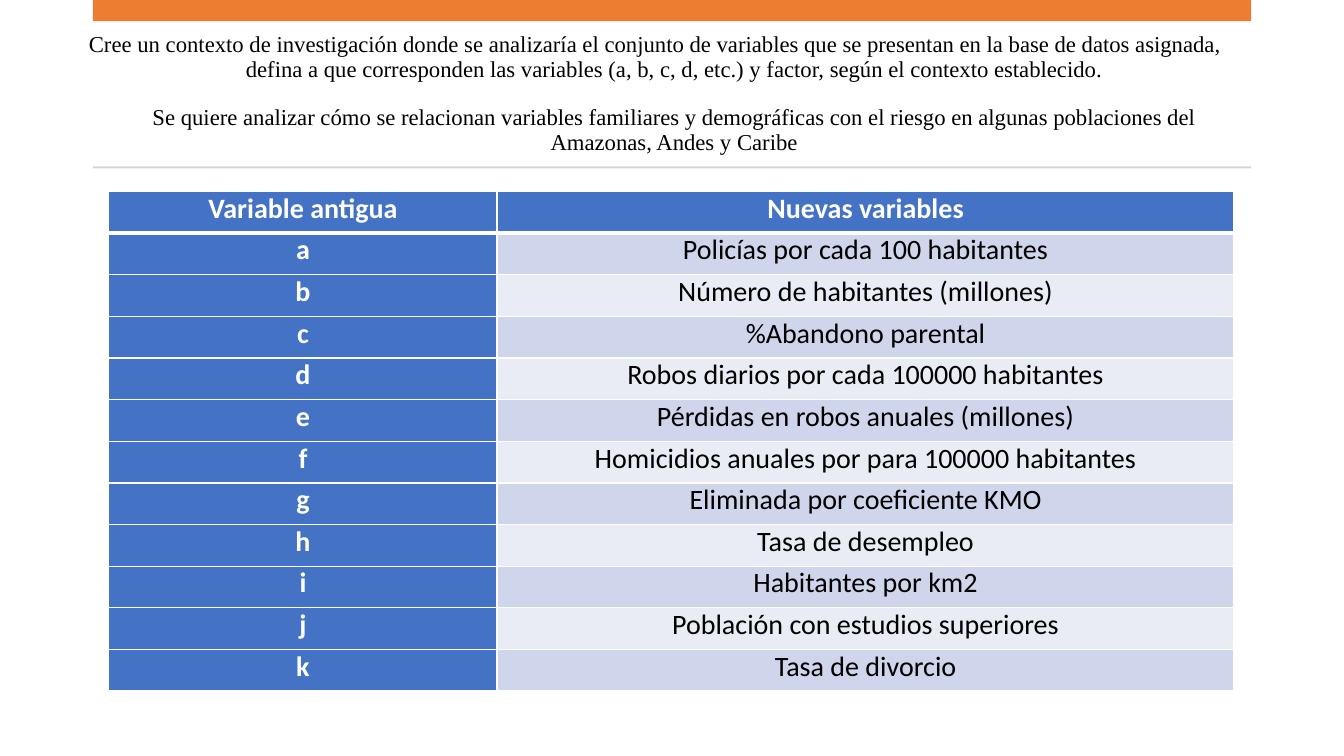
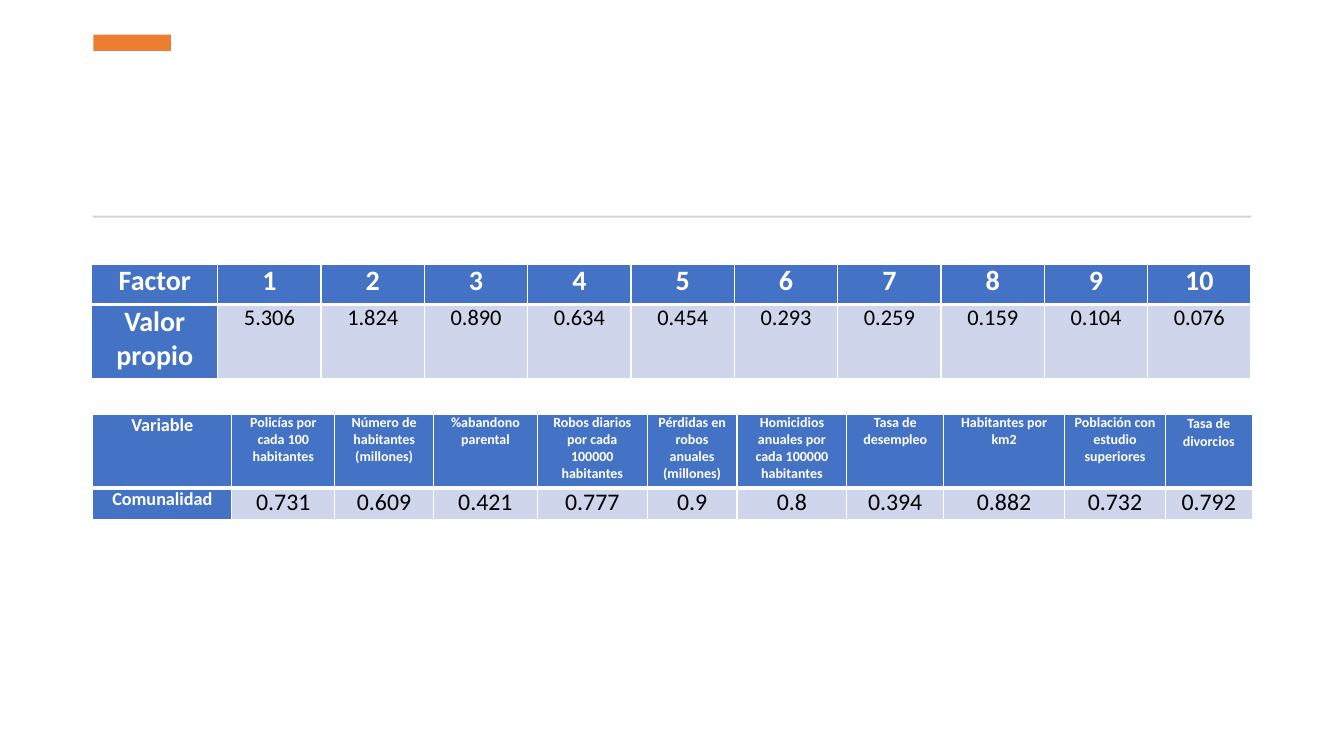
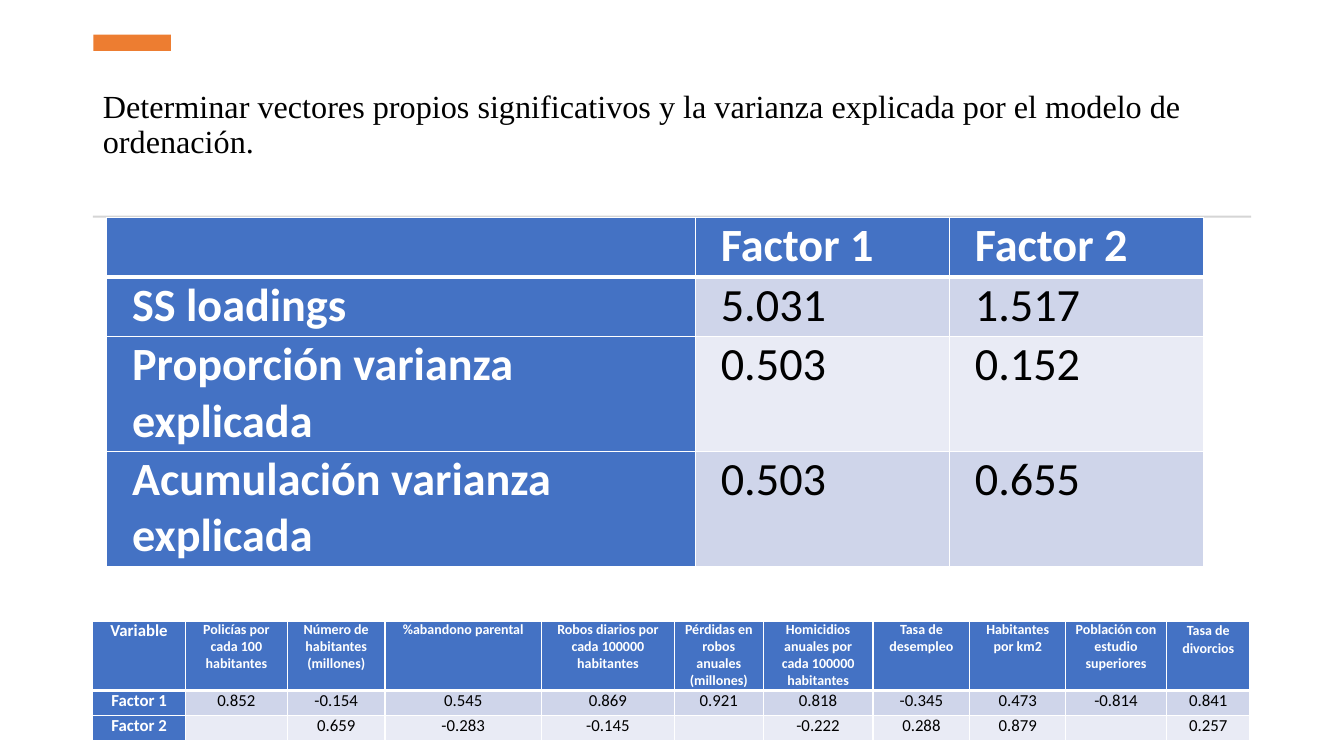
from dataclasses import dataclass

from lxml.etree import SubElement
from pptx import Presentation
from pptx.dml.color import RGBColor
from pptx.enum.shapes import MSO_SHAPE
from pptx.enum.text import MSO_ANCHOR, MSO_AUTO_SIZE, PP_ALIGN
from pptx.oxml.ns import qn
from pptx.slide import Slide
from pptx.table import _Cell
from pptx.util import Inches, Pt

ORANGE = "ED7D31"
GREY = "D5D5D5"
BLUE = "4472C4"
BANDS = ("CFD5EA", "E9EBF5")
WHITE = "FFFFFF"
BLACK = "000000"
TABLE_FONT = "Calibri"
TITLE_FONT = "Times New Roman"
TITLE_ONLY, BLANK = 5, 6
MARGIN = 0.92
CONTENT_WIDTH = 11.49


@dataclass(frozen=True)
class Title:
    paragraphs: list[str]
    left: float
    top: float
    height: float
    size: float
    anchor: MSO_ANCHOR
    bottom_inset: float
    align: PP_ALIGN = PP_ALIGN.LEFT
    hanging: float = 0
    gap: float = 0


@dataclass(frozen=True)
class Grid:
    left: float
    top: float
    columns: list[float]
    heights: list[float]
    rows: list[list[str]]
    inset: float
    label_size: float
    heading_size: float
    value_size: float
    label_align: PP_ALIGN = PP_ALIGN.CENTER
    value_align: PP_ALIGN = PP_ALIGN.CENTER
    loose_heading: str = ""


def colour(value: str) -> RGBColor:
    return RGBColor.from_string(value)


def add_bar(slide: Slide, left: float, top: float, width: float, height: float,
            fill: str, rotation: float = 0) -> None:
    bar = slide.shapes.add_shape(MSO_SHAPE.RECTANGLE, Inches(left), Inches(top),
                                 Inches(width), Inches(height))
    bar.shadow.inherit = False
    bar.fill.solid()
    bar.fill.fore_color.rgb = colour(fill)
    bar.line.fill.background()
    bar.rotation = rotation


def add_rule(slide: Slide, top: float) -> None:
    add_bar(slide, MARGIN, top, CONTENT_WIDTH, 0.02, GREY)


def add_accent_and_rule(slide: Slide) -> None:
    add_bar(slide, 1.23, 0.04, 0.16, 0.77, ORANGE, 90)
    add_rule(slide, 2.14)


def fill_title(slide: Slide, title: Title) -> None:
    box = slide.shapes.title
    box.left, box.top = Inches(title.left), Inches(title.top)
    box.width, box.height = Inches(CONTENT_WIDTH), Inches(title.height)
    frame = box.text_frame
    frame.text = "\n".join(title.paragraphs)
    frame.word_wrap = True
    frame.auto_size = MSO_AUTO_SIZE.NONE
    frame.vertical_anchor = title.anchor
    frame.margin_bottom = Inches(title.bottom_inset)
    for index, para in enumerate(frame.paragraphs):
        para.alignment = title.align
        para.line_spacing = 0.9
        para.space_before = Pt(title.gap if index else 0)
        properties = para._p.get_or_add_pPr()
        properties.set("marL", str(Inches(title.hanging)))
        properties.set("indent", str(0 if index else -Inches(title.hanging)))
        for span in para.runs:
            span.font.name = TITLE_FONT
            span.font.size = Pt(title.size)
            span.font.color.rgb = colour(BLACK)


def set_borders(cell: _Cell, top: float, bottom: float) -> None:
    properties = cell._tc.get_or_add_tcPr()
    for side, width in (("L", 1), ("R", 1), ("T", top), ("B", bottom)):
        line = SubElement(properties, qn(f"a:ln{side}"), w=str(Pt(width)))
        fill = SubElement(line, qn("a:solidFill"))
        SubElement(fill, qn("a:srgbClr"), val=WHITE)


def fill_cell(cell: _Cell, grid: Grid, row: int, column: int) -> None:
    text = grid.rows[row][column]
    heading = row == 0 or column == 0
    size = (grid.label_size if column == 0 else
            grid.heading_size if row == 0 else grid.value_size)
    set_borders(cell, 3 if row == 1 else 1, 3 if row == 0 else 1)
    cell.fill.solid()
    cell.fill.fore_color.rgb = colour(BLUE if heading else BANDS[(row - 1) % 2])
    cell.margin_left = cell.margin_right = Inches(grid.inset)
    cell.margin_top = cell.margin_bottom = 0
    para = cell.text_frame.paragraphs[0]
    para.text = text
    para.alignment = grid.label_align if column == 0 else grid.value_align
    if text and text == grid.loose_heading:
        para.line_spacing = 1.07
        para.space_after = Pt(8)
    else:
        para.space_before = para.space_after = Pt(6)
    if not text:
        SubElement(para._p, qn("a:endParaRPr"), sz=str(int(size * 100)))
    for span in para.runs:
        span.font.name = TABLE_FONT
        span.font.size = Pt(size)
        span.font.bold = heading
        span.font.color.rgb = colour(WHITE if heading else BLACK)


def add_grid(slide: Slide, grid: Grid) -> None:
    table = slide.shapes.add_table(
        len(grid.rows), len(grid.columns), Inches(grid.left), Inches(grid.top),
        Inches(sum(grid.columns)), Inches(sum(grid.heights))).table
    table.first_col = True
    for column, width in zip(table.columns, grid.columns):
        column.width = Inches(width)
    for row, height in zip(table.rows, grid.heights):
        row.height = Inches(height)
    for row in range(len(grid.rows)):
        for column in range(len(grid.columns)):
            fill_cell(table.cell(row, column), grid, row, column)


CONTEXT_TITLE = Title(
    ["Cree un contexto de investigación donde se analizaría el conjunto de variables "
     "que se presentan en la base de datos asignada, defina a que corresponden las "
     "variables (a, b, c, d, etc.) y factor, según el contexto establecido.",
     "Se quiere analizar cómo se relacionan variables familiares y demográficas con "
     "el riesgo en algunas poblaciones del Amazonas, Andes y Caribe"],
    0.75, 0.64, 1.18, 16.2, MSO_ANCHOR.MIDDLE, 0.64, PP_ALIGN.CENTER, 0.38, 17)

VARIANCE_TITLE = Title(
    ["Determinar vectores propios significativos y la varianza explicada por el "
     "modelo de ordenación."],
    MARGIN, 0.75, 1.27, 23, MSO_ANCHOR.BOTTOM, 0.43)

NEW_VARIABLES = [
    "Policías por cada 100 habitantes", "Número de habitantes (millones)",
    "%Abandono parental", "Robos diarios por cada 100000 habitantes",
    "Pérdidas en robos anuales (millones)",
    "Homicidios anuales por para 100000 habitantes",
    "Eliminada por coeficiente KMO", "Tasa de desempleo", "Habitantes por km2",
    "Población con estudios superiores", "Tasa de divorcio"]

VARIABLE_HEADINGS = [
    "Variable", "Policías por cada 100 habitantes", "Número de habitantes (millones)",
    "%abandono parental", "Robos diarios por cada 100000 habitantes",
    "Pérdidas en robos anuales (millones)",
    "Homicidios anuales por cada 100000 habitantes", "Tasa de desempleo",
    "Habitantes por km2", "Población con estudio superiores", "Tasa de divorcios"]

VARIABLES = Grid(
    1.08, 1.9, [3.85, 7.31], [4.96 / 12] * 12,
    [["Variable antigua", "Nuevas variables"],
     *[list(pair) for pair in zip("abcdefghijk", NEW_VARIABLES)]],
    0.14, 20, 20, 20)

COMMUNALITIES = Grid(
    MARGIN, 4.11, [1.38, 1.02, 0.98, 1.03, 1.09, 0.89, 1.09, 0.96, 1.2, 1, 0.86],
    [0.73, 0.32],
    [VARIABLE_HEADINGS,
     ["Comunalidad", "0.731", "0.609", "0.421", "0.777", "0.9", "0.8", "0.394",
      "0.882", "0.732", "0.792"]],
    0.08, 13, 10, 17, loose_heading=VARIABLE_HEADINGS[-1])

EIGENVALUES = Grid(
    0.91, 2.62, [1.25] + [1.025] * 10, [0.4, 0.74],
    [["Factor", *[str(number) for number in range(1, 11)]],
     ["Valor propio", "5.306", "1.824", "0.890", "0.634", "0.454", "0.293", "0.259",
      "0.159", "0.104", "0.076"]],
    0.14, 20, 20, 16)

LOADINGS = Grid(
    MARGIN, 6.16, [0.92, 1.01, 0.97, 1.55, 1.32, 0.88, 1.09, 0.96, 0.95, 1, 0.83],
    [0.69, 0.25, 0.25],
    [VARIABLE_HEADINGS,
     ["Factor 1", "0.852", "-0.154", "0.545", "0.869", "0.921", "0.818", "-0.345",
      "0.473", "-0.814", "0.841"],
     ["Factor 2", "", "0.659", "-0.283", "-0.145", "", "-0.222", "0.288", "0.879",
      "", "0.257"]],
    0.09, 12, 10, 12, loose_heading=VARIABLE_HEADINGS[-1])

VARIANCE = Grid(
    1.06, 2.16, [5.84, 2.52, 2.52], [0.59, 0.59, 1.14, 1.14],
    [["", "Factor 1", "Factor 2"],
     ["SS loadings", "5.031", "1.517"],
     ["Proporción varianza explicada", "0.503", "0.152"],
     ["Acumulación varianza explicada", "0.503", "0.655"]],
    0.25, 33, 33, 33, PP_ALIGN.LEFT, PP_ALIGN.JUSTIFY)


def main() -> None:
    deck = Presentation()
    deck.slide_width, deck.slide_height = Inches(13.33), Inches(7.5)

    context = deck.slides.add_slide(deck.slide_layouts[TITLE_ONLY])
    fill_title(context, CONTEXT_TITLE)
    add_bar(context, MARGIN, 0, CONTENT_WIDTH, 0.21, ORANGE)
    add_rule(context, 1.65)
    add_grid(context, VARIABLES)

    factors = deck.slides.add_slide(deck.slide_layouts[BLANK])
    add_accent_and_rule(factors)
    add_grid(factors, COMMUNALITIES)
    add_grid(factors, EIGENVALUES)

    variance = deck.slides.add_slide(deck.slide_layouts[TITLE_ONLY])
    fill_title(variance, VARIANCE_TITLE)
    add_accent_and_rule(variance)
    add_grid(variance, LOADINGS)
    add_grid(variance, VARIANCE)

    deck.save("out.pptx")


if __name__ == "__main__":
    main()
